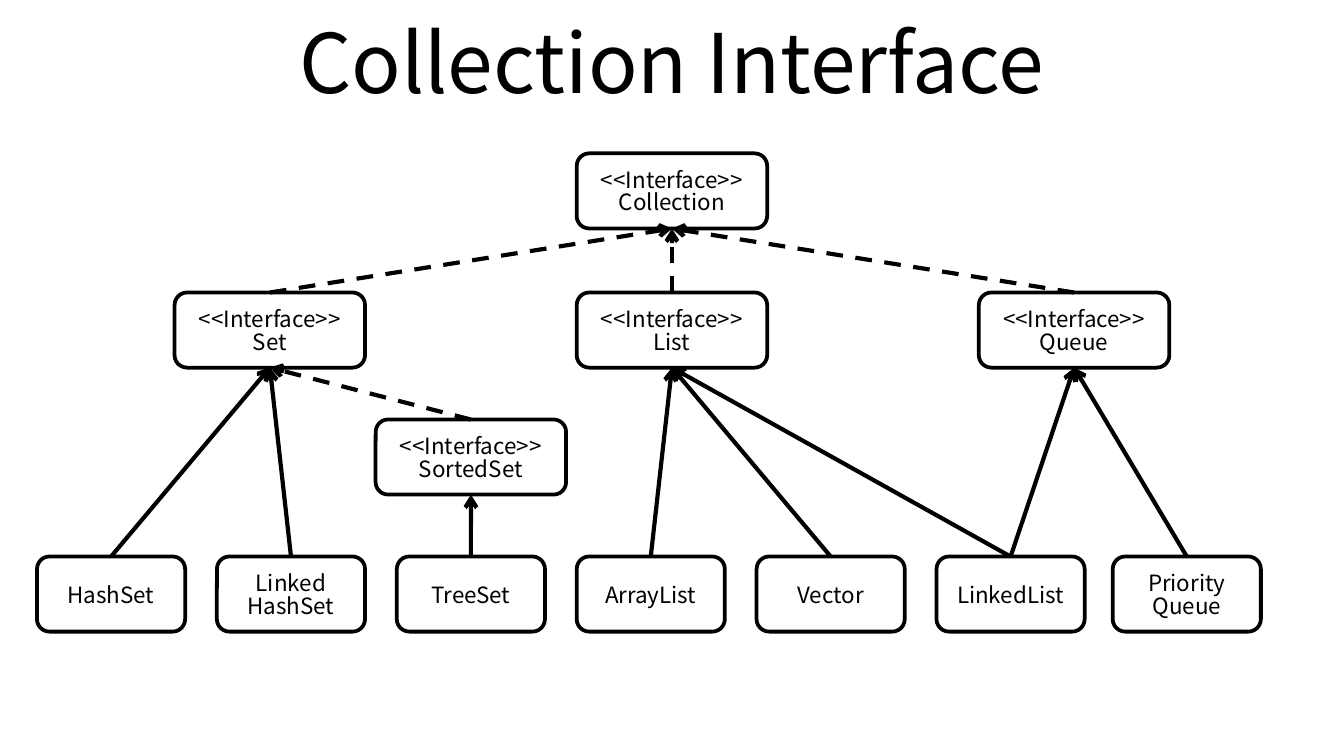
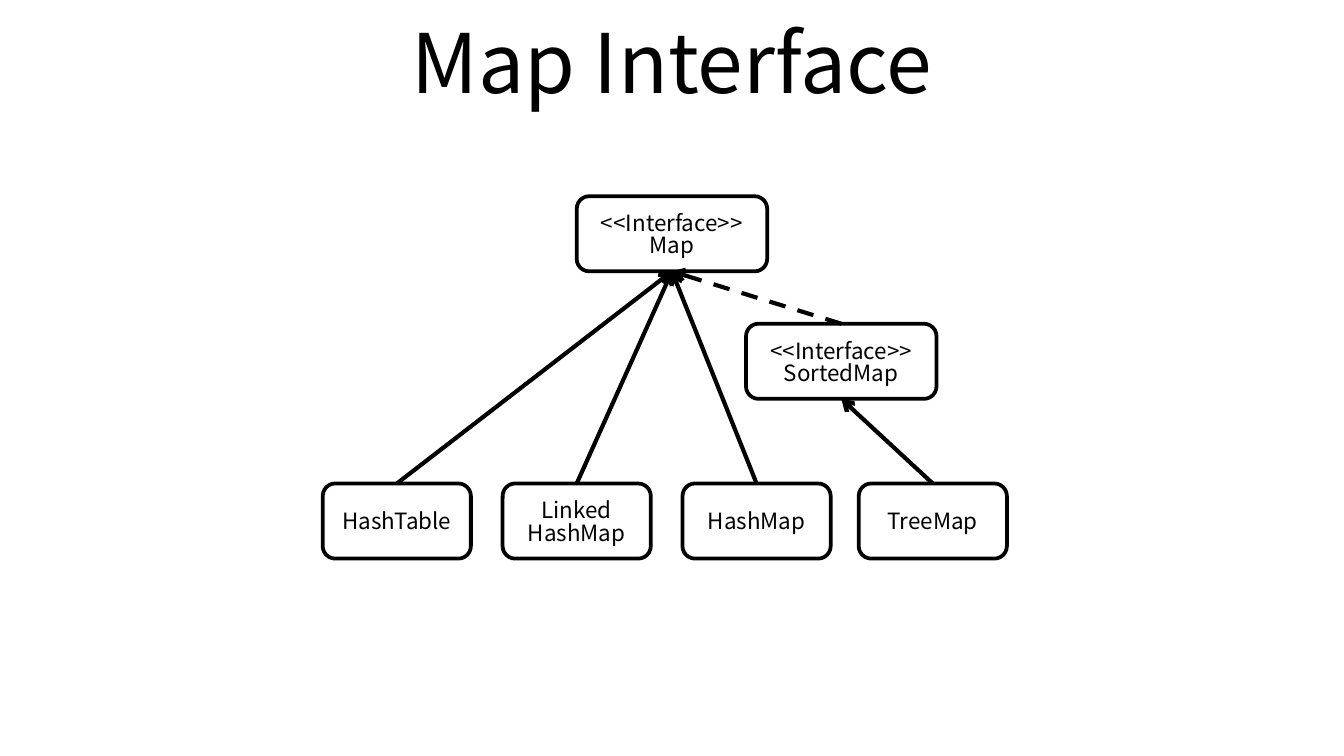
from pptx import Presentation
from pptx.dml.color import RGBColor
from pptx.enum.dml import MSO_LINE_DASH_STYLE as Dash
from pptx.enum.shapes import MSO_CONNECTOR, MSO_SHAPE
from pptx.enum.text import MSO_ANCHOR, PP_ALIGN
from pptx.oxml.ns import qn
from pptx.util import Cm, Pt
from lxml.etree import SubElement

FONT = "Noto Sans CJK KR"
INK = "000000"
PAPER = "FFFFFF"
SLIDE_WIDTH, SLIDE_HEIGHT = 25.4, 14.29
BOX_HEIGHT = 1.42
INTERFACE_WIDTH, CLASS_WIDTH = 3.6, 2.8
CLASS_PITCH = 3.4
TOP_SITE, BOTTOM_SITE = 0, 2


def color(hex_code):
    return RGBColor.from_string(hex_code)


def write(shape, text, size=12, ink=INK, align=PP_ALIGN.CENTER, later_spacing=0.82):
    """Fill a shape with text, one paragraph a line, later lines set tighter."""
    frame = shape.text_frame
    frame.word_wrap = True
    frame.vertical_anchor = MSO_ANCHOR.MIDDLE
    frame.text = text
    for index, paragraph in enumerate(frame.paragraphs):
        paragraph.alignment = align
        if index:
            paragraph.line_spacing = later_spacing
        for run in paragraph.runs:
            run.font.name = FONT
            run.font.size = Pt(size)
            run.font.color.rgb = color(ink)
            SubElement(run.font._element, qn("a:ea"), typeface=FONT)


def add_titled_slide(prs, title):
    slide = prs.slides.add_slide(prs.slide_layouts[5])
    heading = slide.shapes.title
    heading.left, heading.top = Cm(1.27), Cm(-0.05)
    heading.width, heading.height = Cm(22.86), Cm(2.39)
    write(heading, title, size=44)
    return slide


def add_type_box(slide, label, left, top, width):
    box = slide.shapes.add_shape(
        MSO_SHAPE.ROUNDED_RECTANGLE, Cm(left), Cm(top), Cm(width), Cm(BOX_HEIGHT))
    box.shadow.inherit = False
    box.fill.solid()
    box.fill.fore_color.rgb = color(PAPER)
    box.line.color.rgb = color(INK)
    box.line.width = Pt(2)
    write(box, label)
    return box


def add_inheritance(slide, child, parent, dashed):
    """Draw an arrow from the top of the child to the bottom of its parent."""
    arrow = slide.shapes.add_connector(MSO_CONNECTOR.STRAIGHT, 0, 0, 0, 0)
    arrow.begin_connect(child, TOP_SITE)
    arrow.end_connect(parent, BOTTOM_SITE)
    arrow.line.color.rgb = color(INK)
    arrow.line.width = Pt(2.25)
    if dashed:
        arrow.line.dash_style = Dash.DASH
    SubElement(arrow.line._get_or_add_ln(), qn("a:tailEnd"), type="arrow")
    SubElement(arrow._element.spPr, qn("a:effectLst"))


def add_hierarchy(slide, left, top, interfaces, classes, class_top, last_left, parents):
    """Place interfaces and a row of classes from (left, top), then link them.

    The last class stands at last_left, the others at an equal pitch.
    """
    boxes = {}
    for name, (x, y) in interfaces.items():
        boxes[name] = add_type_box(
            slide, f"<<Interface>>\n{name}", left + x, top + y, INTERFACE_WIDTH)
    for column, name in enumerate(classes):
        x = last_left if name == classes[-1] else column * CLASS_PITCH
        boxes[name] = add_type_box(slide, name, left + x, top + class_top, CLASS_WIDTH)
    for child, parent in parents:
        add_inheritance(slide, boxes[child], boxes[parent], dashed=child in interfaces)


def add_collection_slide(prs):
    slide = add_titled_slide(prs, "Collection Interface")
    add_hierarchy(
        slide, left=0.7, top=2.9,
        interfaces={
            "Collection": (10.2, 0),
            "Set": (2.6, 2.63),
            "List": (10.2, 2.63),
            "Queue": (17.8, 2.63),
            "SortedSet": (6.4, 5.03),
        },
        classes=["HashSet", "Linked\nHashSet", "TreeSet", "ArrayList", "Vector",
                 "LinkedList", "Priority\nQueue"],
        class_top=7.62, last_left=20.33,
        parents=[
            ("Set", "Collection"),
            ("HashSet", "Set"),
            ("Linked\nHashSet", "Set"),
            ("SortedSet", "Set"),
            ("TreeSet", "SortedSet"),
            ("ArrayList", "List"),
            ("Vector", "List"),
            ("Queue", "Collection"),
            ("List", "Collection"),
            ("LinkedList", "Queue"),
            ("LinkedList", "List"),
            ("Priority\nQueue", "Queue"),
        ])


def add_map_slide(prs):
    slide = add_titled_slide(prs, "Map Interface")
    add_hierarchy(
        slide, left=6.1, top=3.71,
        interfaces={"SortedMap": (8, 2.41), "Map": (4.8, 0)},
        classes=["HashTable", "Linked\nHashMap", "HashMap", "TreeMap"],
        class_top=5.43, last_left=10.13,
        parents=[
            ("SortedMap", "Map"),
            ("HashTable", "Map"),
            ("Linked\nHashMap", "Map"),
            ("HashMap", "Map"),
            ("TreeMap", "SortedMap"),
        ])


def main():
    prs = Presentation()
    prs.slide_width, prs.slide_height = Cm(SLIDE_WIDTH), Cm(SLIDE_HEIGHT)
    add_collection_slide(prs)
    add_map_slide(prs)
    prs.save("out.pptx")


if __name__ == "__main__":
    main()
